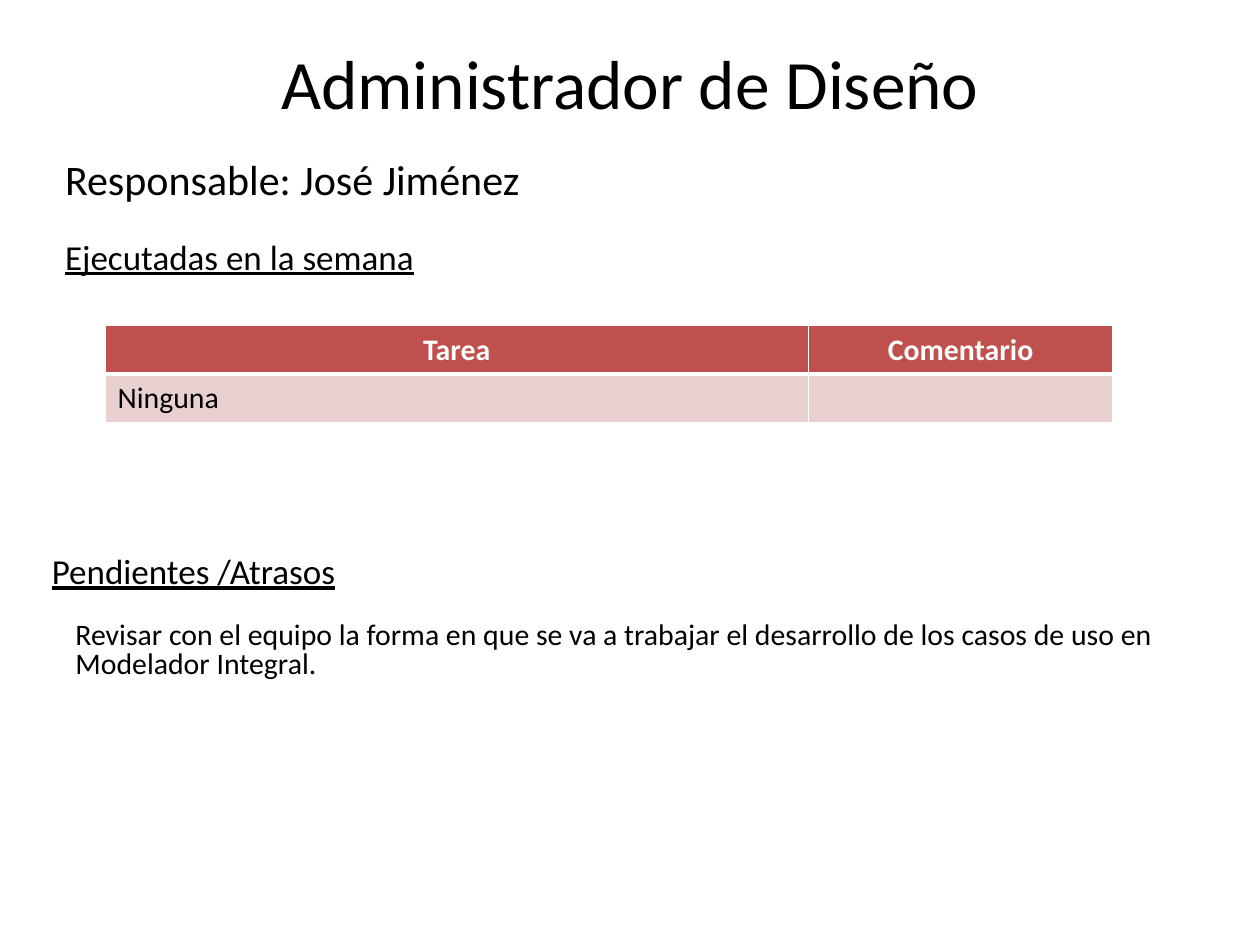
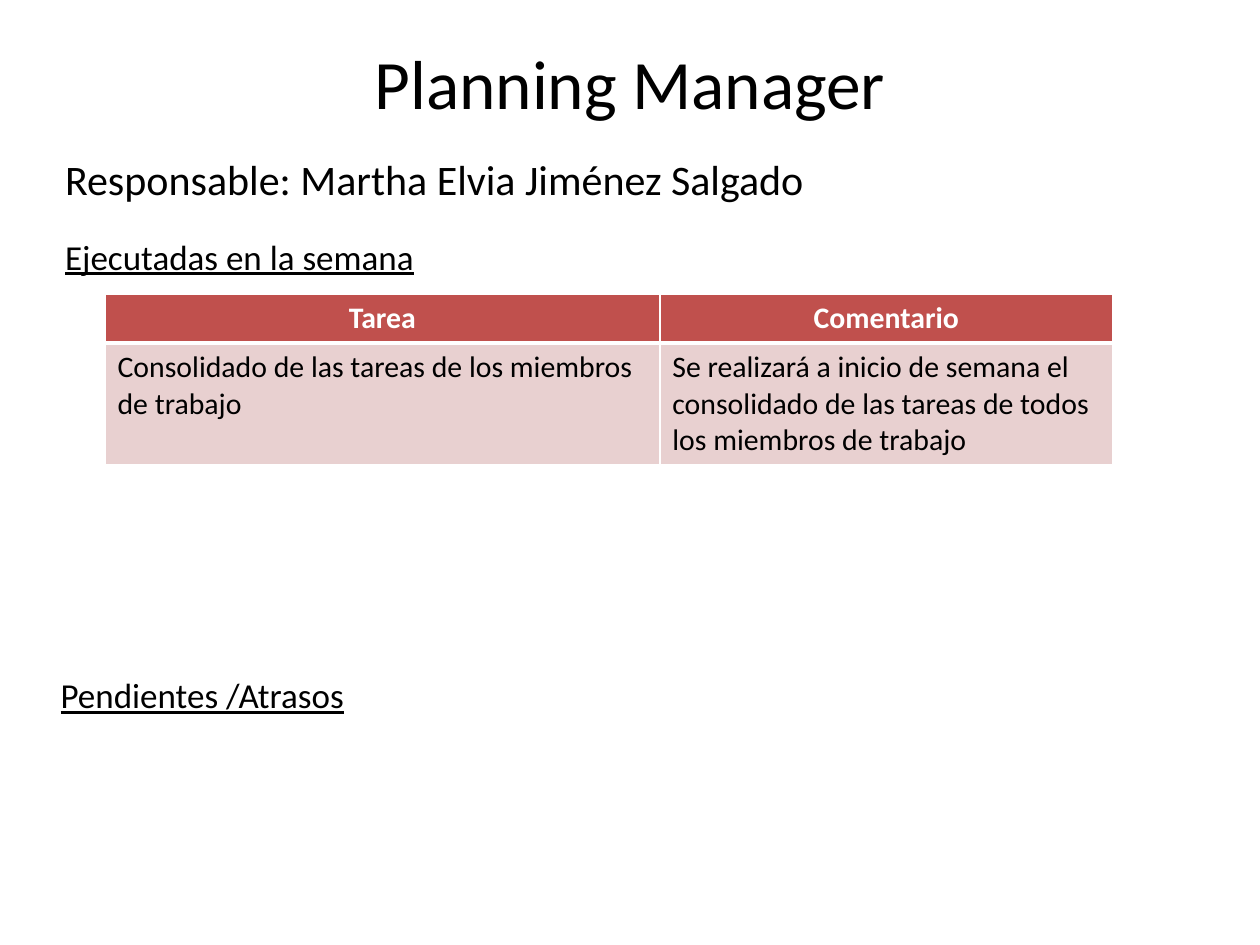
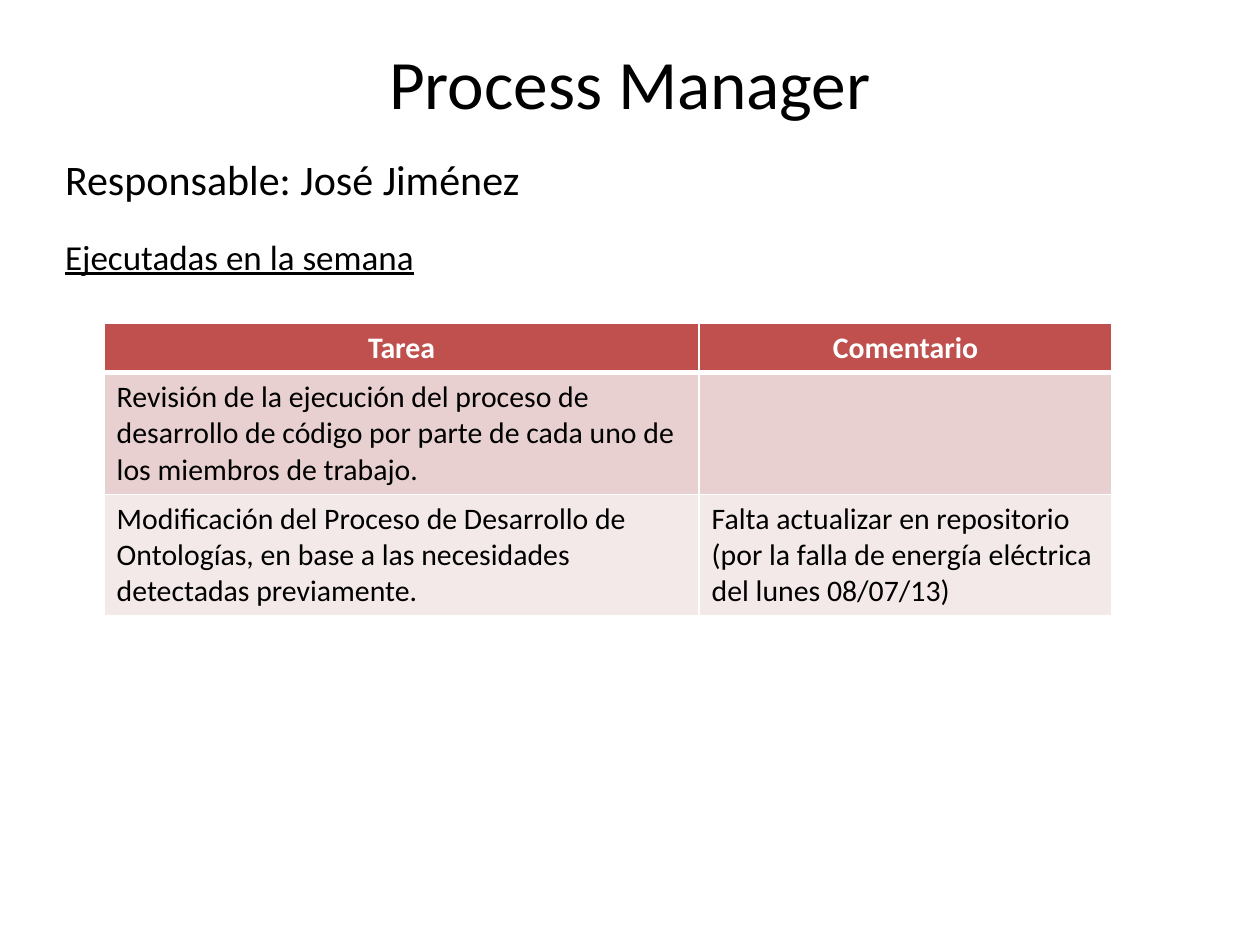
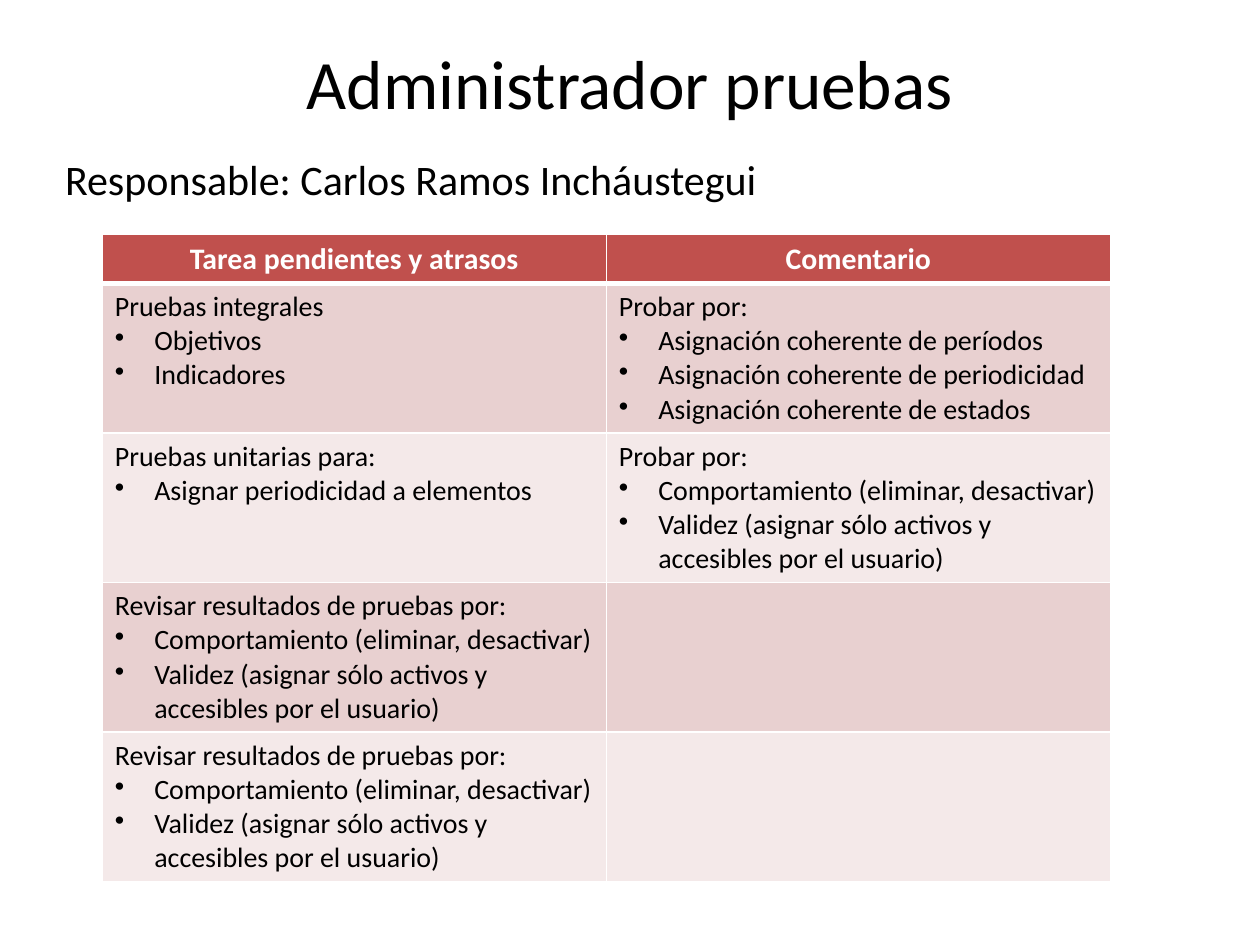
from dataclasses import dataclass

from lxml.etree import SubElement
from pptx import Presentation
from pptx.dml.color import RGBColor as Rgb
from pptx.enum.text import MSO_AUTO_SIZE as AutoSize, PP_ALIGN as Align
from pptx.oxml.ns import qn
from pptx.util import Pt


@dataclass(frozen=True)
class Theme:
    """Colours, type sizes and line widths shared by all slides."""
    font: str = "Calibri"
    text: str = "000000"
    light: str = "FFFFFF"
    header: str = "C0504D"
    bands: tuple = ("E8D0D0", "F4E9E9")
    title_size: float = 39.6
    owner_size: float = 24
    heading_size: float = 20
    table_size: float = 17
    detail_size: float = 16
    rule: float = 1
    header_rule: float = 3


@dataclass(frozen=True)
class Box:
    """A region in points."""
    left: float
    top: float
    width: float
    height: float

    def lengths(self):
        """Return the four sides as lengths for python-pptx."""
        return [Pt(side) for side in (self.left, self.top, self.width, self.height)]


THEME = Theme()
TITLE_BOX = Box(36, 21.6, 648, 50.4)
BODY_BOX = Box(30, 84, 672, 90)
ROW_HEIGHT = 26.7
HANGING = 27
BULLET_INDENT = 22.5
DONE = "Ejecutadas en la semana"
PENDING = "Pendientes /Atrasos"
BULLET = "• "


def style(paragraph, size, color=THEME.text, bold=False, underline=False):
    """Set the font of a whole paragraph."""
    font = paragraph.font
    font.name, font.size = THEME.font, Pt(size)
    font.bold, font.underline = bold, underline
    font.color.rgb = Rgb.from_string(color)


def indent(paragraph, margin, first_line=0, bullet=None):
    """Set the indents of a paragraph, with a bullet or with none."""
    properties = paragraph._p.get_or_add_pPr()
    properties.set("marL", str(Pt(margin)))
    properties.set("indent", str(Pt(first_line)))
    marks = properties.makeelement(qn("a:buChar" if bullet else "a:buNone"))
    if bullet:
        marks.set("char", bullet)
    properties.insert_element_before(marks, "a:tabLst", "a:defRPr", "a:extLst")


def place(shape, box):
    """Move a placeholder to a box and return its wrapped text frame."""
    shape.left, shape.top, shape.width, shape.height = box.lengths()
    frame = shape.text_frame
    frame.word_wrap, frame.auto_size = True, AutoSize.NONE
    return frame


def add_title(slide, box, text):
    """Fill the centred slide title."""
    frame = place(slide.shapes.title, box)
    frame.text = text
    paragraph = frame.paragraphs[0]
    paragraph.alignment = Align.CENTER
    style(paragraph, THEME.title_size)


def add_owner(slide, box, name, heading=None):
    """Fill the body with the person in charge and an optional heading."""
    frame = place(slide.placeholders[1], box)
    paragraph = frame.paragraphs[0]
    paragraph.text = f"Responsable: {name}"
    paragraph.space_before = Pt(2)
    style(paragraph, THEME.owner_size)
    indent(paragraph, HANGING, -HANGING)
    if heading:
        paragraph = frame.add_paragraph()
        paragraph.text = heading
        paragraph.space_before = Pt(18)
        style(paragraph, THEME.heading_size, underline=True)
        indent(paragraph, HANGING, -HANGING)


def add_text(slide, box, text):
    """Add a wrapped one-paragraph text box and return its paragraph."""
    frame = slide.shapes.add_textbox(*box.lengths()).text_frame
    frame.word_wrap = True
    paragraph = frame.paragraphs[0]
    paragraph.text = text
    paragraph.space_before = Pt(1)
    return paragraph


def add_pending(slide, box, note=None):
    """Add the heading for pending work, with an optional note below it."""
    paragraph = add_text(slide, box, PENDING)
    style(paragraph, THEME.heading_size, underline=True)
    indent(paragraph, HANGING, -HANGING)
    if note:
        below = Box(box.left, box.top + box.height, box.width, box.height)
        paragraph = add_text(slide, below, note)
        paragraph.line_spacing = 0.8
        style(paragraph, THEME.table_size)
        indent(paragraph, 13.5)


def format_cell(cell, fill, bottom=THEME.rule):
    """Give a cell its white borders and its fill."""
    properties = cell._tc.get_or_add_tcPr()
    for side, width in (("L", THEME.rule), ("R", THEME.rule),
                        ("T", THEME.rule), ("B", bottom)):
        line = SubElement(properties, qn(f"a:ln{side}"), w=str(Pt(width)))
        solid = SubElement(line, qn("a:solidFill"))
        SubElement(solid, qn("a:srgbClr"), val=THEME.light)
    cell.fill.solid()
    cell.fill.fore_color.rgb = Rgb.from_string(fill)


def add_table(slide, left, top, widths, header, rows, size=THEME.table_size):
    """Add a table with a header row and banded rows of text or bullets."""
    box = Box(left, top, sum(widths), ROW_HEIGHT * (len(rows) + 1))
    table = slide.shapes.add_table(len(rows) + 1, len(widths), *box.lengths()).table
    for column, width in zip(table.columns, widths):
        column.width = Pt(width)
    for cell, text in zip(table.rows[0].cells, header):
        format_cell(cell, THEME.header, THEME.header_rule)
        cell.text = text
        paragraph = cell.text_frame.paragraphs[0]
        paragraph.alignment = Align.CENTER
        style(paragraph, THEME.table_size, THEME.light, bold=True)
    for index, texts in enumerate(rows):
        for cell, text in zip(table.rows[index + 1].cells, texts):
            format_cell(cell, THEME.bands[index % len(THEME.bands)])
            cell.text = text
            for paragraph in cell.text_frame.paragraphs:
                style(paragraph, size)
                if paragraph.text.startswith(BULLET):
                    paragraph.runs[0].text = paragraph.text[len(BULLET):]
                    indent(paragraph, BULLET_INDENT, -BULLET_INDENT, BULLET.strip())


def add_role(presentation, title, name, heading=DONE, body=BODY_BOX):
    """Add a slide for one role, with its title and person in charge."""
    slide = presentation.slides.add_slide(presentation.slide_layouts[1])
    add_title(slide, TITLE_BOX, title)
    add_owner(slide, body, name, heading)
    return slide


def bulleted(lead, *items):
    """Join a lead line and its bullet items as cell text."""
    return "\n".join([lead, *(BULLET + item for item in items)])


presentation = Presentation()
presentation.slide_width, presentation.slide_height = Pt(720), Pt(540)
columns = ("Tarea", "Comentario")

design = add_role(presentation, "Administrador de Diseño", "José Jiménez")
add_pending(design, Box(22.5, 310.5, 672, 42),
            "Revisar con el equipo la forma en que se va a trabajar el desarrollo "
            "de los casos de uso en Modelador Integral.")
add_table(design, 60, 186, (402, 174), columns, [("Ninguna", "")])

planning = add_role(presentation, "Planning Manager", "Martha Elvia Jiménez Salgado")
add_table(planning, 60, 168, (317, 259), columns, [
    ("Consolidado de las tareas de los miembros de trabajo",
     "Se realizará a inicio de semana el consolidado de las tareas de todos "
     "los miembros de trabajo"),
])
add_pending(planning, Box(27.5, 381.5, 672, 42))

process = add_role(presentation, "Process Manager", "José Jiménez")
add_table(process, 59.5, 185, (340, 236), columns, [
    ("Revisión de la ejecución del proceso de desarrollo de código por parte "
     "de cada uno de los miembros de trabajo.", ""),
    ("Modificación del Proceso de Desarrollo de Ontologías, en base a las "
     "necesidades detectadas previamente.",
     "Falta actualizar en repositorio (por la falla de energía eléctrica "
     "del lunes 08/07/13)"),
])

checks = ("Comportamiento (eliminar, desactivar)",
          "Validez (asignar sólo activos y accesibles por el usuario)")
review = (bulleted("Revisar resultados de pruebas por:", *checks), "")
testing = add_role(presentation, "Administrador pruebas", "Carlos Ramos Incháustegui",
                   heading=None, body=Box(30, 84, 672, 39))
add_table(testing, 58.5, 134, (288, 288), ("Tarea pendientes y atrasos", "Comentario"), [
    (bulleted("Pruebas integrales", "Objetivos", "Indicadores"),
     bulleted("Probar por:", *(f"Asignación coherente de {subject}" for subject in
                               ("períodos", "periodicidad", "estados")))),
    (bulleted("Pruebas unitarias para:", "Asignar periodicidad a elementos"),
     bulleted("Probar por:", *checks)),
    review,
    review,
], THEME.detail_size)

presentation.save("out.pptx")
